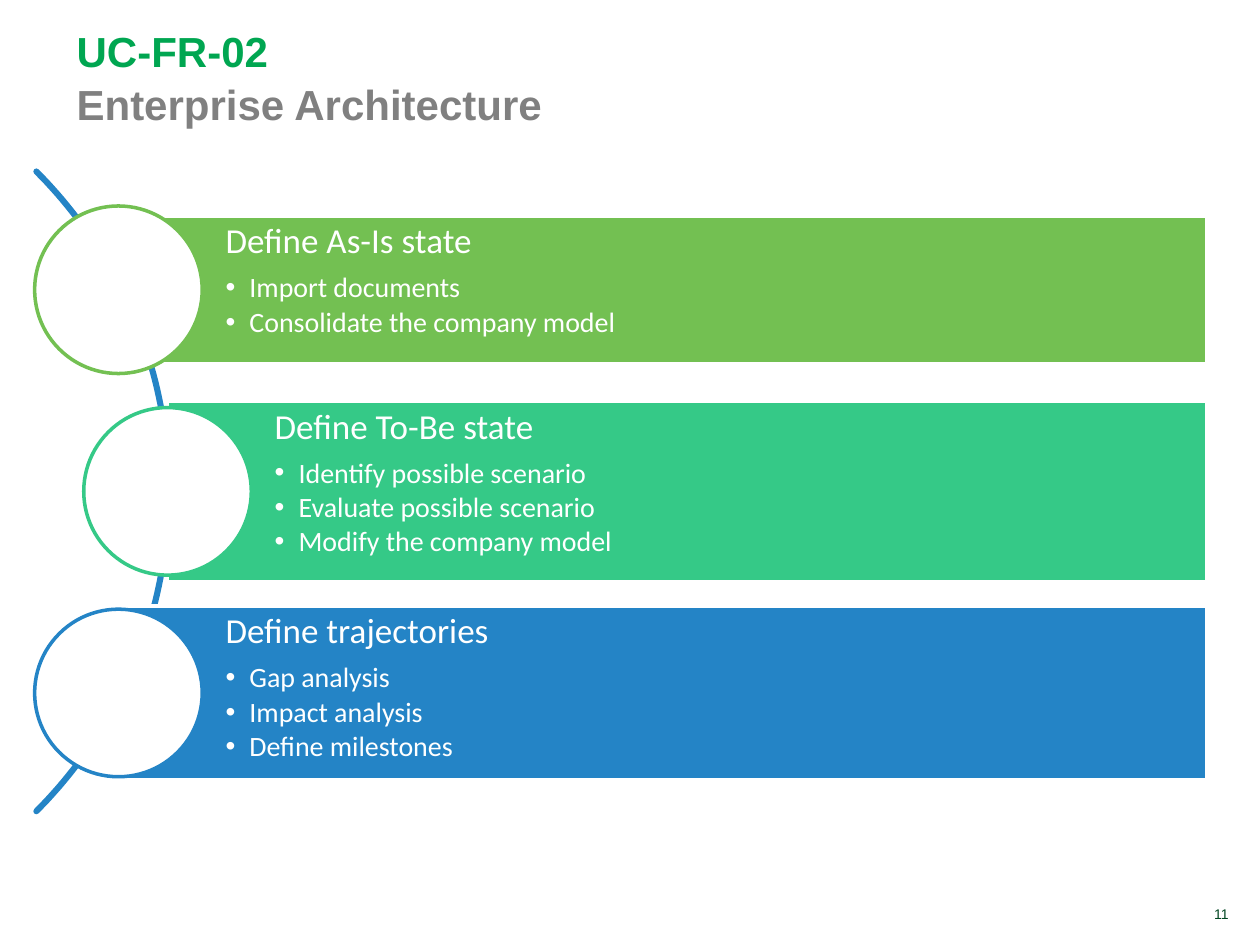
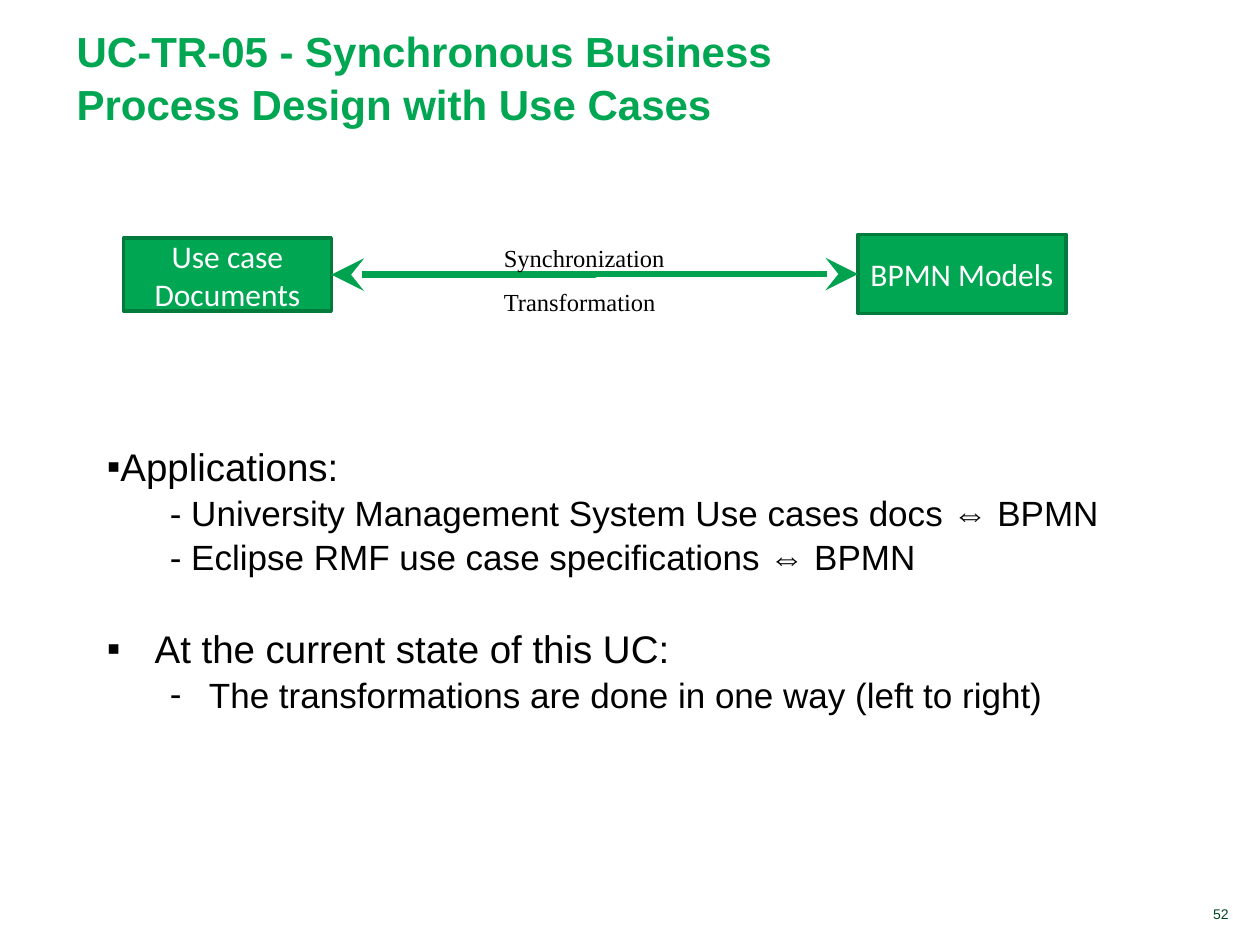
from math import cos, radians, sin
from lxml.etree import SubElement
from pptx import Presentation
from pptx.dml.color import RGBColor
from pptx.enum.shapes import MSO_CONNECTOR, MSO_SHAPE
from pptx.enum.text import MSO_ANCHOR, PP_ALIGN
from pptx.oxml.ns import qn
from pptx.util import Inches, Pt

HUES = {"title": "00A651", "grey": "808080", "page": "004621", "edge": "007B3C",
        "arrow": "00A24F", "white": "FFFFFF", "black": "000000",
        "lime": "73C052", "mint": "35C987", "blue": "2484C6"}


class Deck:
    """Slide maker on a grid of 100 columns by 75 rows."""

    def __init__(self):
        self.prs = Presentation()
        self.prs.slide_width, self.prs.slide_height = Inches(10), Inches(7.5)
        self.cell = self.prs.slide_width // 100
        self.slide = None

    def grid(self, *cells):
        return [round(cell * self.cell) for cell in cells]

    def hue(self, name):
        return RGBColor.from_string(HUES[name])

    def page(self, number, *title):
        self.slide = self.prs.slides.add_slide(self.prs.slide_layouts[6])
        foot = self.text((85.4, 71.4, 13.1, 2.3), MSO_ANCHOR.BOTTOM)
        self.para(foot, number, 8, "page", align=PP_ALIGN.RIGHT)
        head = self.text((5.1, 1.6, 68.1, 9.1), MSO_ANCHOR.BOTTOM)
        par = None
        for words, hue in title:
            if par is not None:
                par.add_line_break()
            par = self.para(head, words, 24, hue, bold=True, lead=1.05, par=par)

    def text(self, box, anchor=MSO_ANCHOR.TOP):
        frame = self.slide.shapes.add_textbox(*self.grid(*box)).text_frame
        frame.word_wrap = True
        frame.vertical_anchor = anchor
        return frame

    def para(self, frame, words, size, hue, face="Arial", bold=False, align=PP_ALIGN.LEFT,
             lead=1.0, before=0, after=0, left=0, hang=0, mark=None, par=None):
        if par is None:
            par = frame.paragraphs[0]
            if par.runs:
                par = frame.add_paragraph()
        props = par._p.get_or_add_pPr()
        for key, cells in (("marL", left), ("indent", -hang)):
            props.set(key, str(self.grid(cells)[0]))
        if mark:
            SubElement(props, qn("a:buFont")).set("typeface", "Arial")
            SubElement(props, qn("a:buChar")).set("char", mark)
        par.alignment, par.line_spacing = align, lead
        if before:
            par.space_before = Pt(before)
        par.space_after = Pt(after)
        run = par.add_run()
        run.text = words
        font = run.font
        font.name, font.size, font.bold = face, Pt(size), bold
        font.color.rgb = self.hue(hue)
        return par

    def paint(self, shape, fill, line, width=2):
        shape.shadow.inherit = False
        if fill:
            shape.fill.solid()
            shape.fill.fore_color.rgb = self.hue(fill)
        else:
            shape.fill.background()
        shape.line.color.rgb = self.hue(line)
        shape.line.width = Pt(width)
        return shape

    def shape(self, kind, box, fill, line):
        return self.paint(self.slide.shapes.add_shape(kind, *self.grid(*box)), fill, line)

    def arc(self, mid_x, mid_y, radius, hue, width):
        dots = [self.grid(mid_x + radius * cos(radians(turn)), mid_y + radius * sin(radians(turn)))
                for turn in range(-45, 46)]
        pen = self.slide.shapes.build_freeform(*dots[0])
        pen.add_line_segments(dots[1:], close=False)
        curve = self.paint(pen.convert_to_shape(), None, hue, width)
        curve.line._get_or_add_ln().set("cap", "rnd")

    def step(self, mid_x, mid_y, high, hue, head, items):
        band = self.shape(MSO_SHAPE.RECTANGLE,
                          (mid_x, mid_y - high / 2, 95.8 - mid_x, high), hue, "white")
        frame = band.text_frame
        frame.word_wrap, frame.vertical_anchor = True, MSO_ANCHOR.TOP
        frame.margin_left = self.grid(8.5)[0]
        frame.margin_top = frame.margin_right = frame.margin_bottom = self.grid(0.6)[0]
        self.para(frame, head, 20, "white", "Calibri", lead=0.9, after=7)
        for item in items:
            self.para(frame, item, 16, "white", "Calibri", lead=0.9, after=2.4,
                      left=1.9, hang=1.9, mark="•")
        size = 13.3
        self.shape(MSO_SHAPE.OVAL, (mid_x - size / 2, mid_y - size / 2, size, size), "white", hue)

    def node(self, box, words):
        node = self.shape(MSO_SHAPE.RECTANGLE, box, "title", "edge")
        node.text_frame.word_wrap = True
        node.text_frame.vertical_anchor = MSO_ANCHOR.MIDDLE
        self.para(node.text_frame, words, 18, "white", "Calibri", align=PP_ALIGN.CENTER)
        return node

    def link(self, start, end):
        line = self.slide.shapes.add_connector(MSO_CONNECTOR.ELBOW, 0, 0, 0, 0)
        line.begin_connect(start, 3)
        line.end_connect(end, 1)
        line.line.color.rgb = self.hue("arrow")
        line.line.width = Pt(3.75)
        for tip in ("a:headEnd", "a:tailEnd"):
            SubElement(line.line._get_or_add_ln(), qn(tip), type="stealth", w="lg", len="lg")
        SubElement(line._element.spPr, qn("a:effectLst"))


def main():
    deck = Deck()
    deck.page("11", ("UC-FR-02", "title"), ("Enterprise Architecture", "grey"))
    deck.arc(-22.5, 39, 35.9, "blue", 3.5)
    steps = [
        (9.4, 11.7, "lime", "Define As-Is state",
         ["Import documents", "Consolidate the company model"]),
        (13.3, 14.3, "mint", "Define To-Be state",
         ["Identify possible scenario", "Evaluate possible scenario", "Modify the company model"]),
        (9.4, 13.8, "blue", "Define trajectories",
         ["Gap analysis", "Impact analysis", "Define milestones"])]
    for row, (mid, high, hue, head, items) in enumerate(steps):
        deck.step(mid, 23 + 16 * row, high, hue, head, items)

    deck.page("52", ("UC-TR-05 - Synchronous Business Process Design with Use Cases", "title"))
    docs = deck.node((9.8, 18.9, 16.5, 5.8), "Use case Documents")
    models = deck.node((68.1, 18.6, 16.5, 6.3), "BPMN Models")
    deck.link(docs, models)
    label = deck.text((39, 17.6, 15.7, 8.1))
    for word in ("Synchronization", "Transformation"):
        deck.para(label, word, 14, "black", "Times New Roman", lead=1.5)
    body = deck.text((7.5, 34.5, 87.4, 22.2))
    notes = [
        ("Applications:", 22, 0, 3.8, "▪", 0),
        ("- University Management System Use cases docs ⇔ BPMN", 20, 5, 0, None, 0),
        ("- Eclipse RMF use case specifications ⇔ BPMN", 20, 5, 0, None, 0),
        ("At the current state of this UC:", 22, 3.8, 3.8, "▪", 26),
        ("The transformations are done in one way (left to right)", 20, 8.1, 3.1, "-", 0)]
    for words, size, left, hang, mark, before in notes:
        deck.para(body, words, size, "black", lead=1.05, before=before,
                  left=left, hang=hang, mark=mark)
    deck.prs.save("out.pptx")


if __name__ == "__main__":
    main()
